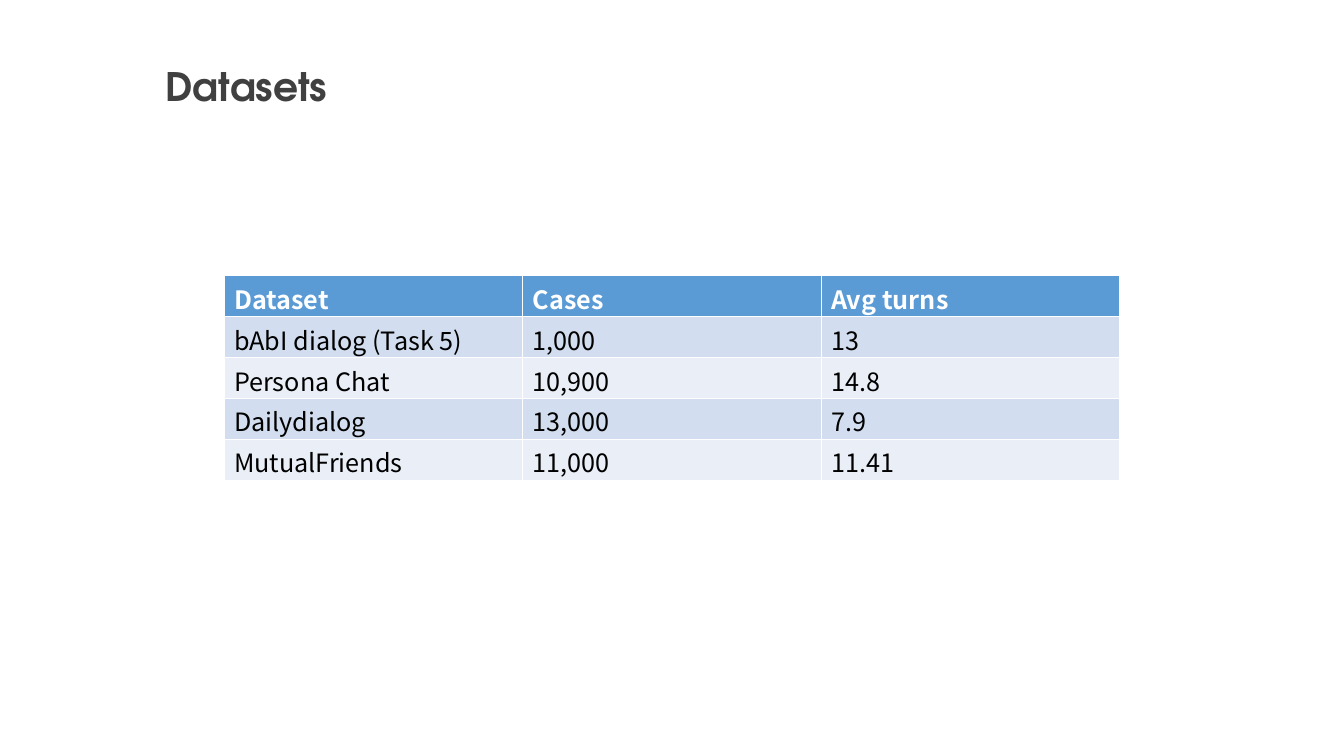
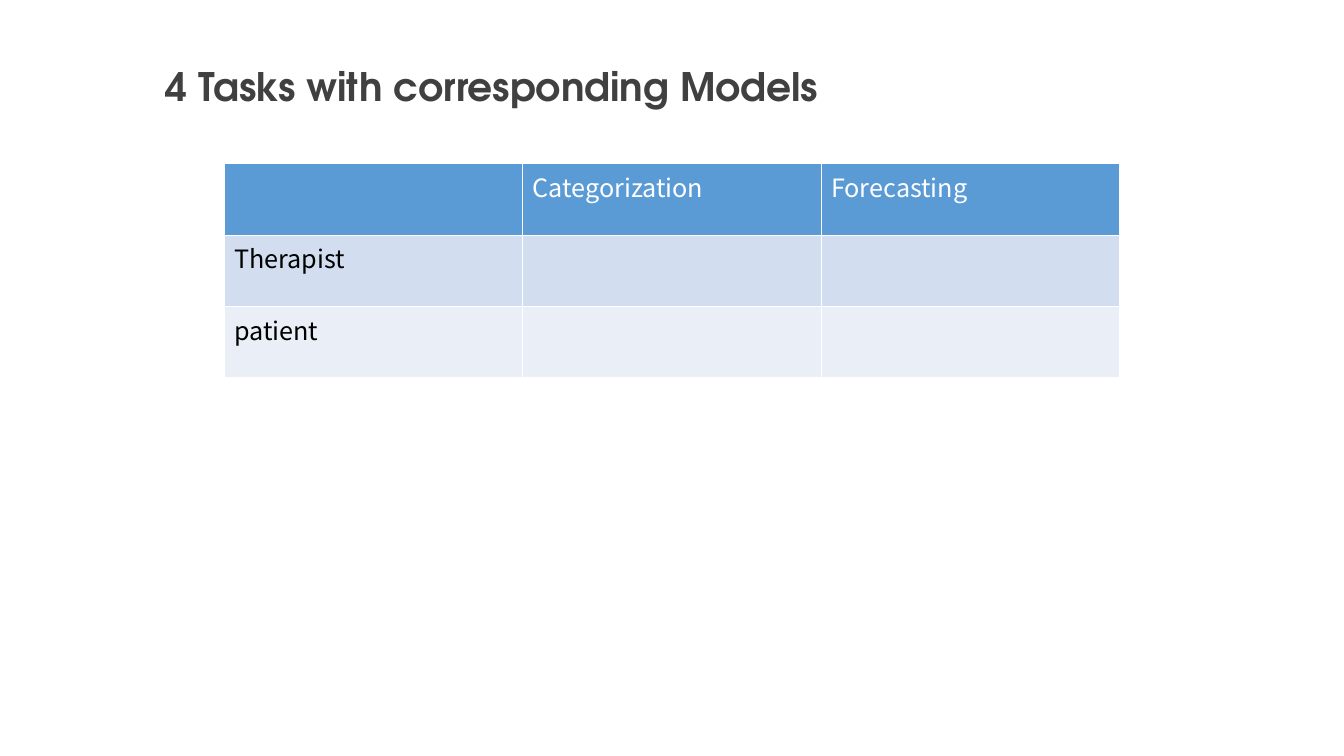
from pptx import Presentation
from pptx.dml.color import RGBColor
from pptx.enum.text import MSO_ANCHOR, PP_ALIGN
from pptx.util import Pt

LEFT = PP_ALIGN.LEFT
MIDDLE = MSO_ANCHOR.MIDDLE

TITLE_FONT = "TeX Gyre Adventor"
BODY_FONT = "Noto Sans CJK SC"
TITLE_GREY = RGBColor(0x40, 0x40, 0x40)
BLACK = RGBColor(0x00, 0x00, 0x00)
WHITE = RGBColor(0xFF, 0xFF, 0xFF)
HEADER_BLUE = RGBColor(0x5B, 0x9B, 0xD5)
BANDS = (RGBColor(0xD2, 0xDE, 0xEF), RGBColor(0xEA, 0xEF, 0xF7))

SLIDES = [
    {
        "title": "Datasets",
        "title_width": 338,
        "table_top": 197,
        "row_height": 29.25,
        "header_bold": True,
        "rows": [
            ("Dataset", "Cases", "Avg turns"),
            ("bAbI dialog (Task 5)", "1,000", "13"),
            ("Persona Chat", "10,900", "14.8"),
            ("Dailydialog", "13,000", "7.9"),
            ("MutualFriends", "11,000", "11.41"),
        ],
    },
    {
        "title": "4 Tasks with corresponding Models",
        "title_width": 486,
        "table_top": 117,
        "row_height": 51,
        "header_bold": False,
        "rows": [
            ("", "Categorization", "Forecasting"),
            ("Therapist", "", ""),
            ("patient", "", ""),
        ],
    },
]

TITLE_LEFT, TITLE_TOP, TITLE_HEIGHT = 111, 40.5, 41
TABLE_LEFT, COLUMN_WIDTH = 160, 213.3


def write_text(frame, text, font, size, color, bold=False):
    frame.word_wrap = True
    para = frame.paragraphs[0]
    para.alignment = LEFT
    if not text:
        para.font.size = Pt(size)
        return
    span = para.add_run()
    span.text = text
    span.font.name = font
    span.font.size = Pt(size)
    span.font.bold = bold
    span.font.color.rgb = color


def place_title(page, text, width):
    title = page.shapes.title
    title.left, title.top = Pt(TITLE_LEFT), Pt(TITLE_TOP)
    title.width, title.height = Pt(width), Pt(TITLE_HEIGHT)
    title.text_frame.vertical_anchor = MIDDLE
    write_text(title.text_frame, text, TITLE_FONT, 28, TITLE_GREY, bold=True)


def add_banded_table(page, rows, top, row_height, header_bold):
    """The default table style supplies the white rules between cells."""
    column_count = len(rows[0])
    table = page.shapes.add_table(
        len(rows), column_count, Pt(TABLE_LEFT), Pt(top),
        Pt(COLUMN_WIDTH * column_count), Pt(row_height * len(rows))).table
    for column in table.columns:
        column.width = Pt(COLUMN_WIDTH)
    for row_index, texts in enumerate(rows):
        table.rows[row_index].height = Pt(row_height)
        is_header = row_index == 0
        fill = HEADER_BLUE if is_header else BANDS[(row_index - 1) % 2]
        for column_index, text in enumerate(texts):
            cell = table.cell(row_index, column_index)
            cell.margin_top, cell.margin_bottom = Pt(3), Pt(0)
            cell.fill.solid()
            cell.fill.fore_color.rgb = fill
            write_text(cell.text_frame, text, BODY_FONT, 18,
                       WHITE if is_header else BLACK,
                       bold=is_header and header_bold)


def main():
    deck = Presentation()
    deck.slide_width, deck.slide_height = Pt(960), Pt(540)
    title_only = deck.slide_layouts.get_by_name("Title Only")
    for content in SLIDES:
        page = deck.slides.add_slide(title_only)
        place_title(page, content["title"], content["title_width"])
        add_banded_table(page, content["rows"], content["table_top"],
                         content["row_height"], content["header_bold"])
    deck.save("out.pptx")


if __name__ == "__main__":
    main()
